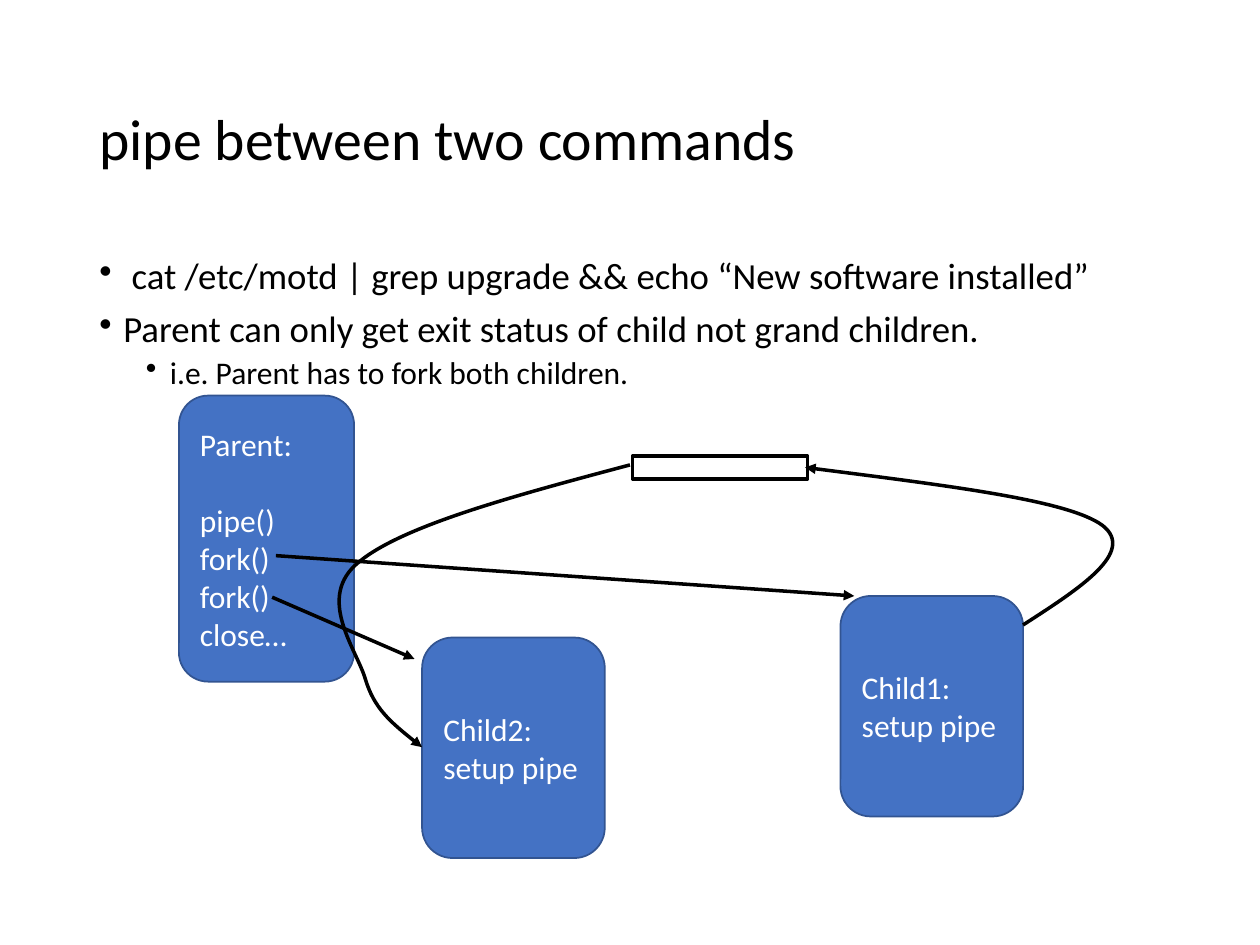
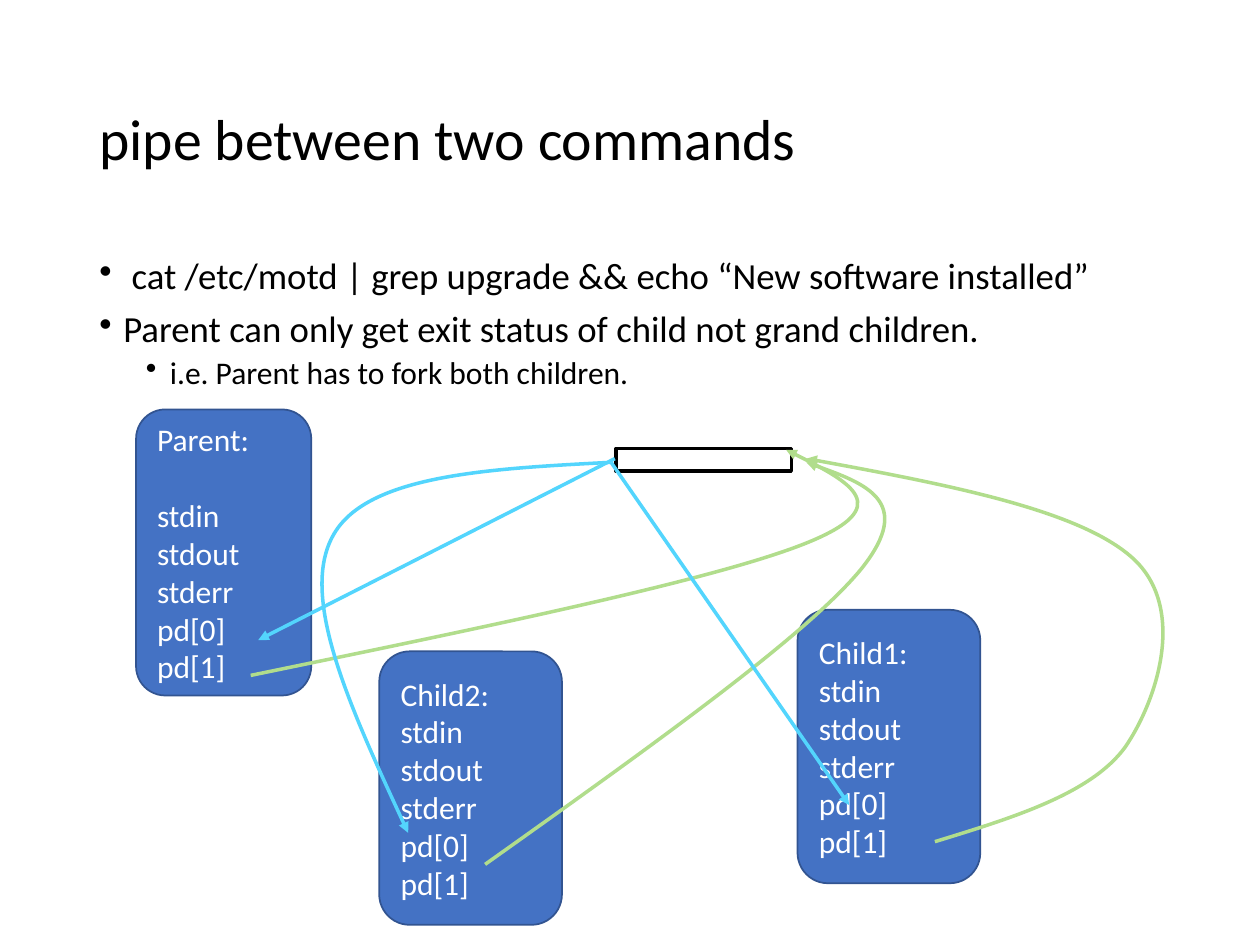
from dataclasses import dataclass

from lxml.etree import SubElement
from pptx import Presentation
from pptx.dml.color import RGBColor
from pptx.enum.shapes import MSO_CONNECTOR, MSO_SHAPE
from pptx.enum.text import MSO_ANCHOR, PP_ALIGN
from pptx.oxml.ns import qn
from pptx.util import Inches, Pt


@dataclass(frozen=True)
class Theme:
    font: str = "Calibri"
    ink: str = "000000"
    on_box: str = "FFFFFF"
    box_fill: str = "4472C4"
    box_line: str = "325491"
    read_end: str = "53D5FD"
    write_end: str = "B1DD8C"
    title_size: float = 33
    body_size: float = 21
    small_size: float = 18
    stroke: float = 2


THEME = Theme()

TITLE = "pipe between two commands"
BULLETS = [
    (" cat /etc/motd | grep upgrade && echo “New software installed”", 0),
    ("Parent can only get exit status of child not grand children.", 0),
    ("i.e. Parent has to fork both children.", 1),
]
DESCRIPTORS = ["stdin", "stdout", "stderr", "pd[0]", "pd[1]"]
PIPE_SIZE = (1.39, 0.18)


def write(frame, text, *, size, color, spacing=1.0, before=0, bullet_level=None):
    """Add one paragraph, using the frame's empty first one when it is free."""
    first = frame.paragraphs[0]
    paragraph = frame.add_paragraph() if first.runs else first
    paragraph.alignment = PP_ALIGN.LEFT
    paragraph.line_spacing = spacing
    paragraph.space_before = Pt(before)
    run = paragraph.add_run()
    run.text = text
    run.font.name = THEME.font
    run.font.size = Pt(size)
    run.font.color.rgb = RGBColor.from_string(color)
    if bullet_level is not None:
        paragraph.level = bullet_level
        properties = paragraph._p.get_or_add_pPr()
        properties.set("marL", str(Inches(0.19 + 0.37 * bullet_level)))
        properties.set("indent", str(Inches(-0.19)))
        SubElement(properties, qn("a:buChar")).set("char", "•")


class Deck:
    def __init__(self, theme):
        self.theme = theme
        self.presentation = Presentation()
        self.presentation.slide_width = Inches(10)
        self.presentation.slide_height = Inches(7.5)
        self.slide = None

    def new_slide(self):
        blank = self.presentation.slide_layouts[6]
        self.slide = self.presentation.slides.add_slide(blank)
        self.title()
        self.bullets()

    # Text
    def text_area(self, left, top, width, height, anchor):
        area = self.slide.shapes.add_textbox(*map(Inches, (left, top, width, height)))
        area.text_frame.word_wrap = True
        area.text_frame.vertical_anchor = anchor
        return area.text_frame

    def title(self):
        frame = self.text_area(0.69, 0.4, 8.62, 1.45, MSO_ANCHOR.MIDDLE)
        write(frame, TITLE, size=self.theme.title_size, color=self.theme.ink, spacing=0.9)

    def bullets(self):
        frame = self.text_area(0.69, 2, 8.62, 4.76, MSO_ANCHOR.TOP)
        for text, level in BULLETS:
            write(frame, text, color=self.theme.ink, spacing=0.9, bullet_level=level,
                  size=self.theme.small_size if level else self.theme.body_size,
                  before=3.8 if level else 7.5)

    # Boxes
    def process(self, name, steps, left, top, width, height, gap=0):
        box = self.slide.shapes.add_shape(
            MSO_SHAPE.ROUNDED_RECTANGLE, *map(Inches, (left, top, width, height)))
        box.shadow.inherit = False
        box.fill.solid()
        box.fill.fore_color.rgb = RGBColor.from_string(self.theme.box_fill)
        self.stroke(box, self.theme.box_line, 1)
        frame = box.text_frame
        frame.word_wrap = True
        frame.vertical_anchor = MSO_ANCHOR.MIDDLE
        for index, line in enumerate([name, *steps]):
            write(frame, line, size=self.theme.small_size, color=self.theme.on_box,
                  before=gap if index == 1 else 0)

    def pipe(self, left, top):
        pipe = self.slide.shapes.add_shape(
            MSO_SHAPE.RECTANGLE, *map(Inches, (left, top, *PIPE_SIZE)))
        pipe.shadow.inherit = False
        pipe.fill.background()
        self.stroke(pipe, self.theme.ink, self.theme.stroke)

    # Lines
    def stroke(self, shape, color, width, arrow=False):
        shape.line.color.rgb = RGBColor.from_string(color)
        shape.line.width = Pt(width)
        if arrow:
            line = shape.element.spPr.find(qn("a:ln"))
            SubElement(line, qn("a:tailEnd")).set("type", "triangle")

    def arrow(self, start, end, color):
        arrow = self.slide.shapes.add_connector(
            MSO_CONNECTOR.STRAIGHT, *map(Inches, (*start, *end)))
        self.stroke(arrow, color, self.theme.stroke, arrow=True)
        SubElement(arrow.element.spPr, qn("a:effectLst"))

    def curve(self, points, color):
        """Bézier arrow: a start point, then two controls and an end per segment."""
        start, *rest = [(Inches(x), Inches(y)) for x, y in points]
        builder = self.slide.shapes.build_freeform(*start)
        builder.add_line_segments(rest, close=False)
        curve = builder.convert_to_shape()
        outline = curve.element.spPr.find(".//" + qn("a:path"))
        corners = outline.findall(qn("a:lnTo"))
        for first in range(0, len(corners), 3):
            segment = SubElement(outline, qn("a:cubicBezTo"))
            for corner in corners[first:first + 3]:
                segment.append(corner[0])
                outline.remove(corner)
        curve.shadow.inherit = False
        curve.fill.background()
        self.stroke(curve, color, self.theme.stroke, arrow=True)


def fork_slide(deck):
    deck.new_slide()
    line_gap = 22
    deck.process("Child2:", ["setup pipe"], 3.35, 5.06, 1.45, 1.75)
    deck.process("Child1:", ["setup pipe"], 6.67, 4.73, 1.45, 1.75)
    deck.process("Parent:", ["pipe()", "fork()", "fork()", "close…"],
                 1.42, 3.14, 1.39, 2.27, gap=line_gap)
    deck.pipe(5.02, 3.62)

    # Each fork starts a child
    ink = deck.theme.ink
    deck.arrow((2.19, 4.41), (6.78, 4.73), ink)
    deck.arrow((2.16, 4.74), (3.29, 5.23), ink)

    # Child1 writes into the pipe, Child2 reads from it
    deck.curve([(8.12, 4.96), (8.57, 4.67), (9.02, 4.38), (8.75, 4.17),
                (8.48, 3.97), (7.48, 3.85), (6.39, 3.71)], ink)
    deck.curve([(5, 3.69), (4.1, 3.93), (3.2, 4.17), (2.85, 4.46),
                (2.5, 4.74), (2.83, 5.15), (2.9, 5.39),
                (2.97, 5.62), (3.12, 5.75), (3.35, 5.93)], ink)


def descriptor_slide(deck):
    deck.new_slide()
    line_gap = 22
    deck.process("Child2:", DESCRIPTORS, 3.01, 5.17, 1.45, 2.17)
    deck.process("Child1:", DESCRIPTORS, 6.33, 4.84, 1.45, 2.17)
    deck.process("Parent:", DESCRIPTORS, 1.08, 3.25, 1.39, 2.27, gap=line_gap)
    deck.pipe(4.89, 3.56)

    # Every pd[1] leads into the pipe: Parent, Child1, Child2
    for points in (
        [(1.99, 5.36), (3.84, 4.98), (5.68, 4.6), (6.4, 4.31),
         (7.12, 4.02), (6.72, 3.81), (6.24, 3.57)],
        [(7.42, 6.68), (8.04, 6.49), (8.66, 6.3), (8.93, 5.93),
         (9.19, 5.55), (9.42, 4.82), (8.99, 4.43),
         (8.57, 4.05), (7.49, 3.84), (6.4, 3.64)],
        [(3.85, 6.86), (5.13, 5.95), (6.41, 5.04), (6.84, 4.51),
         (7.26, 3.98), (6.83, 3.82), (6.4, 3.67)],
    ):
        deck.curve(points, deck.theme.write_end)

    # The pipe leads to every pd[0]: Parent, Child1, Child2
    deck.arrow((4.88, 3.64), (2.05, 5.08), deck.theme.read_end)
    deck.arrow((4.85, 3.67), (6.74, 6.39), deck.theme.read_end)
    deck.curve([(4.84, 3.67), (3.88, 3.72), (2.92, 3.77), (2.65, 4.24),
                (2.37, 4.72), (2.78, 5.62), (3.24, 6.61)], deck.theme.read_end)


def main():
    deck = Deck(THEME)
    fork_slide(deck)
    descriptor_slide(deck)
    deck.presentation.save("out.pptx")


if __name__ == "__main__":
    main()
